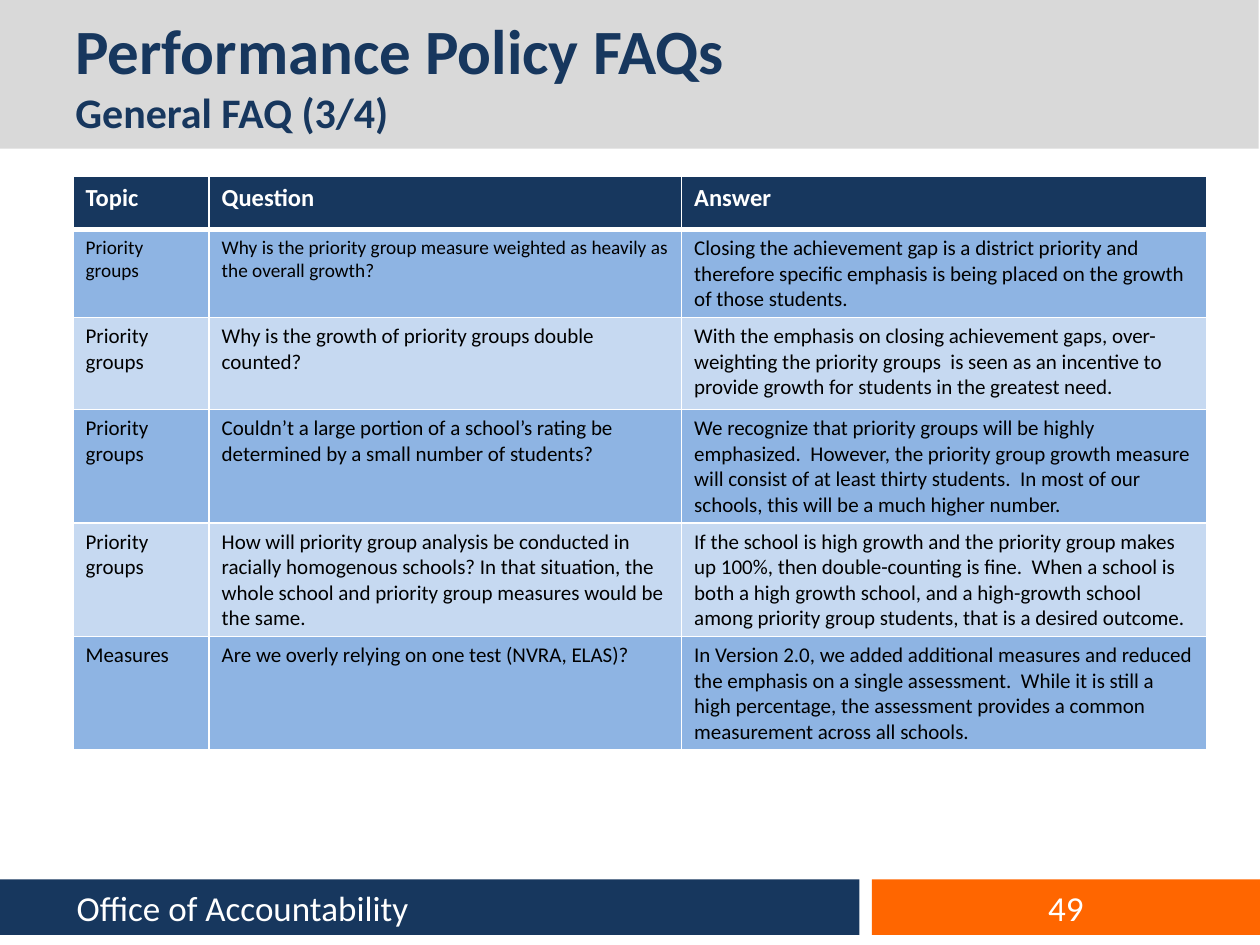
import dataclasses
import pptx
import pptx.dml.color
import pptx.enum.shapes
import pptx.enum.text
import pptx.oxml.ns
import pptx.util
from lxml import etree

W, H = 10, 7.5
FONT = "Calibri"
COLORS = {"navy": "17375E", "orange": "FF6600", "grey": "D9D9D9", "white": "FFFFFF",
          "black": "000000", "band1": "8EB4E3", "band2": "C6D9F1"}
ALIGN = pptx.enum.text.PP_ALIGN
ANCHOR = pptx.enum.text.MSO_ANCHOR


@dataclasses.dataclass
class Box:
    """Position and size as shares of the slide."""
    x: float
    y: float
    w: float
    h: float

    def emu(self) -> list:
        return [pptx.util.Inches(v) for v in
                (self.x * W, self.y * H, self.w * W, self.h * H)]


@dataclasses.dataclass
class Label:
    box: Box
    lines: list  # (text, format) pairs
    indent: float = 0
    align: object = ALIGN.LEFT


def rgb(name: str):
    return pptx.dml.color.RGBColor.from_string(COLORS[name])


def paint(fill, color: str) -> None:
    fill.solid()
    fill.fore_color.rgb = rgb(color)


def fmt(size: float, color: str, bold: bool = False) -> dict:
    return {"name": FONT, "size": pptx.util.Pt(size), "bold": bold, "color": color}


def add_run(p, text: str, values: dict) -> None:
    r = p.add_run()
    r.text = text
    for key, value in values.items():
        if key == "color":
            r.font.color.rgb = rgb(value)
        else:
            setattr(r.font, key, value)


def draw_bar(s, box: Box, color: str) -> None:
    sp = s.shapes.add_shape(pptx.enum.shapes.MSO_SHAPE.RECTANGLE, *box.emu())
    sp.shadow.inherit = False
    paint(sp.fill, color)
    sp.line.fill.background()


def draw_label(s, label: Label) -> None:
    tf = s.shapes.add_textbox(*label.box.emu()).text_frame
    tf.word_wrap = True
    tf.vertical_anchor = ANCHOR.MIDDLE
    p = tf.paragraphs[0]
    p.alignment = label.align
    if label.indent:
        p._p.get_or_add_pPr().set("marL", str(pptx.util.Inches(label.indent)))
    for i, (text, values) in enumerate(label.lines):
        if i:
            p.add_line_break()
        add_run(p, text, values)


def set_borders(cell, widths: dict) -> None:
    tcPr = cell._tc.get_or_add_tcPr()
    for i, (side, width) in enumerate(widths.items()):
        ln = etree.Element(pptx.oxml.ns.qn(f"a:ln{side}"), w=str(pptx.util.Pt(width)))
        fill = etree.SubElement(ln, pptx.oxml.ns.qn("a:solidFill"))
        etree.SubElement(fill, pptx.oxml.ns.qn("a:srgbClr"), val=COLORS["white"])
        tcPr.insert(i, ln)


def draw_table(s, box: Box, cols: list, heights: list, rows: list) -> None:
    table = s.shapes.add_table(len(rows), len(cols), *box.emu()).table
    for col, width in zip(table.columns, cols):
        col.width = pptx.util.Inches(width)
    for r, (row, height) in enumerate(zip(rows, heights)):
        table.rows[r].height = pptx.util.Inches(height)
        for c, text in enumerate(row):
            cell = table.cell(r, c)
            size = 11 if r == 1 and c < 2 else 12
            values = fmt(size, "black") if r else fmt(14, "white", True)
            add_run(cell.text_frame.paragraphs[0], text, values)
            paint(cell.fill, ("band2", "band1")[r % 2] if r else "navy")
            set_borders(cell, {"L": 1, "R": 1, "T": 3 if r == 1 else 1,
                               "B": 1 if r else 3})


HEADER = Box(0, 0, 0.999, 1.18 / H)
FOOTER = Box(0, 6.98 / H, 0.682, 0.44 / H)
NUMBER = Box(0.692, FOOTER.y, 0.308, FOOTER.h)
BARS = [(HEADER, "grey"), (FOOTER, "navy"), (NUMBER, "orange")]

LABELS = [
    Label(Box(0, 0, 0.792, HEADER.h),
          [("Performance Policy FAQs", fmt(36, "navy", True)),
           ("General FAQ (3/4)", fmt(24, "navy", True))], 0.5),
    Label(NUMBER, [("49", fmt(20, "white"))], align=ALIGN.CENTER),
    Label(FOOTER, [("Office of Accountability", fmt(20, "white"))], 0.51),
]

FAQS = [
    ("Topic", "Question", "Answer"),
    ("Priority groups",
     "Why is the priority group measure weighted as heavily as the overall growth?",
     "Closing the achievement gap is a district priority and therefore specific "
     "emphasis is being placed on the growth of those students."),
    ("Priority groups",
     "Why is the growth of priority groups double counted?",
     "With the emphasis on closing achievement gaps, over-weighting the priority "
     "groups  is seen as an incentive to provide growth for students in the "
     "greatest need."),
    ("Priority groups",
     "Couldn’t a large portion of a school’s rating be determined by a small "
     "number of students?",
     "We recognize that priority groups will be highly emphasized.  However, the "
     "priority group growth measure will consist of at least thirty students.  In "
     "most of our schools, this will be a much higher number."),
    ("Priority groups",
     "How will priority group analysis be conducted in racially homogenous schools? "
     "In that situation, the whole school and priority group measures would be the "
     "same.",
     "If the school is high growth and the priority group makes up 100%, then "
     "double-counting is fine.  When a school is both a high growth school, and a "
     "high-growth school among priority group students, that is a desired outcome."),
    ("Measures",
     "Are we overly relying on one test (NVRA, ELAS)?",
     "In Version 2.0, we added additional measures and reduced the emphasis on a "
     "single assessment.  While it is still a high percentage, the assessment "
     "provides a common measurement across all schools."),
]


def main() -> None:
    prs = pptx.Presentation()
    prs.slide_width, prs.slide_height = pptx.util.Inches(W), pptx.util.Inches(H)
    s = prs.slides.add_slide(prs.slide_layouts[6])
    # Header and footer bars with their text
    for box, color in BARS:
        draw_bar(s, box, color)
    for label in LABELS:
        draw_label(s, label)
    # Questions and answers
    draw_table(s, Box(0.058, 1.4 / H, 0.9, 4.55 / H), [1.08, 3.75, 4.17],
               [0.42, 0.67, 0.73, 0.67, 0.67, 0.67], FAQS)
    prs.save("out.pptx")


if __name__ == "__main__":
    main()
